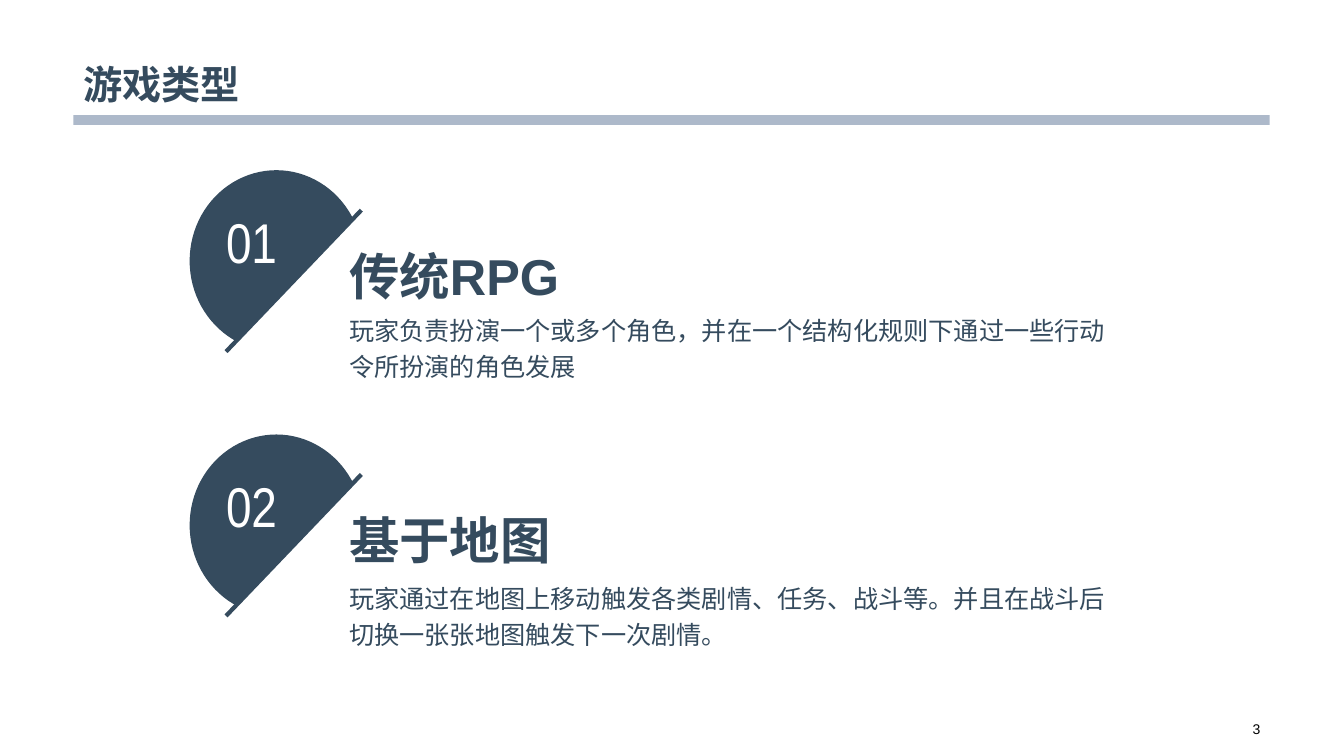
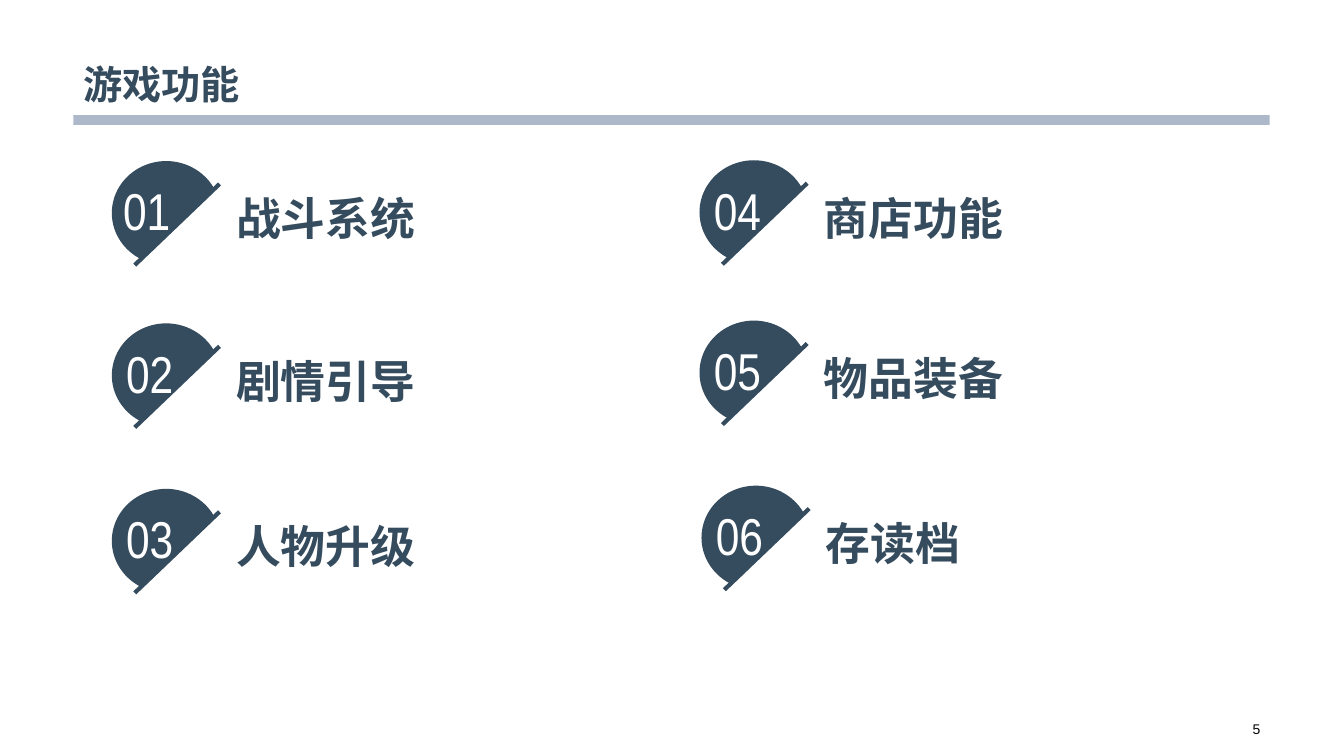
from dataclasses import dataclass

from pptx import Presentation
from pptx.dml.color import RGBColor
from pptx.enum.lang import MSO_LANGUAGE_ID
from pptx.enum.shapes import MSO_CONNECTOR, MSO_SHAPE
from pptx.enum.text import MSO_ANCHOR, PP_ALIGN
from pptx.oxml.ns import qn
from pptx.util import Cm, Pt
from lxml import etree

RECT, CHORD = MSO_SHAPE.RECTANGLE, MSO_SHAPE.CHORD
STRAIGHT = MSO_CONNECTOR.STRAIGHT
LEFT, CENTER, RIGHT = PP_ALIGN.LEFT, PP_ALIGN.CENTER, PP_ALIGN.RIGHT
MIDDLE, BOTTOM = MSO_ANCHOR.MIDDLE, MSO_ANCHOR.BOTTOM
CHINESE = MSO_LANGUAGE_ID.SIMPLIFIED_CHINESE

# Shared look
NAVY, BAND, WHITE, BLACK = "354B5E", "ADB9CA", "FFFFFF", "000000"
FONT, NUMBER_FONT = "Arial", "Arial Narrow"
MARGIN, CONTENT_W = 1.85, 30.15
INDENT = (1, 0, 0, 0)
CHORD_ANGLES = (117, 332)
ANGLE_UNIT = 0.6  # adjustment value of one degree


@dataclass
class BadgeStyle:
    """Sizes in cm; boxes are offset from the badge's top left corner."""
    size: tuple
    number_box: tuple
    number_pt: int
    heading_box: tuple
    heading_pt: int


LARGE = BadgeStyle((4.37, 4.57), (0.33, 0.38, 2.46, 2.82), 40,
                   (3.02, 2.44, 14.96, 0.97), 36)
SMALL = BadgeStyle((2.74, 2.62), (0.18, 0.41, 1.55, 1.65), 37,
                   (2.13, 0.79, 9.37, 1.32), 32)

# Badge x and y, number, heading, body offset, body
GAME_TYPES = [
    (4.78, 4.29, "01", "传统RPG", 3.45,
     "玩家负责扮演一个或多个角色，并在一个结构化规则下通过一些行动令所扮演的角色发展"),
    (4.78, 10.95, "02", "基于地图", 3.55,
     "玩家通过在地图上移动触发各类剧情、任务、战斗等。并且在战斗后切换一张张地图触发下一次剧情。"),
]

# Badge x and y, number, heading, number shift
FEATURES = [
    (2.82, 4.06, "01", "战斗系统", -0.08),
    (2.82, 8.15, "02", "剧情引导", 0),
    (2.82, 12.32, "03", "人物升级", 0),
    (17.63, 4.04, "04", "商店功能", 0),
    (17.63, 8.08, "05", "物品装备", 0),
    (17.68, 12.24, "06", "存读档", 0),
]


def color(hex_code):
    return RGBColor.from_string(hex_code)


def add_text(s, box, text, size, fill=NAVY, font=FONT, bold=False, align=LEFT,
             anchor=MIDDLE, insets=(0, 0, 0, 0), spacing=None):
    sp = s.shapes.add_textbox(*map(Cm, box))
    tf = sp.text_frame
    tf.word_wrap = True
    tf.vertical_anchor = anchor
    (tf.margin_left, tf.margin_top,
     tf.margin_right, tf.margin_bottom) = map(Cm, insets)
    p = tf.paragraphs[0]
    p.alignment = align
    p.line_spacing = spacing
    r = p.add_run()
    r.text = text
    r.font.name, r.font.size, r.font.bold = font, Pt(size), bold
    r.font.color.rgb = color(fill)
    r.font.language_id = CHINESE


def add_filled(s, kind, box, fill):
    sp = s.shapes.add_shape(kind, *map(Cm, box))
    sp.shadow.inherit = False
    sp.fill.solid()
    sp.fill.fore_color.rgb = color(fill)
    sp.line.fill.background()
    return sp


def add_line(s, x1, y1, x2, y2):
    line = s.shapes.add_connector(STRAIGHT, Cm(x1), Cm(y1), Cm(x2), Cm(y2))
    line.line.color.rgb = color(NAVY)
    line.line.width = Pt(3)
    etree.SubElement(line._element.spPr, qn("a:effectLst"))


def add_badge(s, style, x, y, number, heading, shift=0):
    """Cut disc with a slanted edge line, its number and a heading."""
    w, h = style.size
    disc = add_filled(s, CHORD, (x, y, w, h), NAVY)
    for i, angle in enumerate(CHORD_ANGLES):
        disc.adjustments[i] = angle * ANGLE_UNIT
    add_line(s, x + 0.99 * w, y + 0.22 * h, x + 0.21 * w, y + h)
    dx, dy, bw, bh = style.number_box
    add_text(s, (x + dx + shift, y + dy, bw, bh), number, style.number_pt,
             WHITE, NUMBER_FONT, align=CENTER)
    dx, dy, bw, bh = style.heading_box
    add_text(s, (x + dx, y + dy, bw, bh), heading, style.heading_pt,
             bold=True, anchor=BOTTOM, insets=INDENT)


def add_slide(prs, title, page):
    """Blank slide with the shared band, title and page number."""
    s = prs.slides.add_slide(prs.slide_layouts[6])
    add_filled(s, RECT, (MARGIN, 2.9, CONTENT_W, 0.25), BAND)
    add_text(s, (MARGIN, 0, CONTENT_W, 2.84), title, 28, bold=True,
             anchor=BOTTOM, insets=(0.25, 0.13, 0.25, 0.13), spacing=0.9)
    add_text(s, (23.93, 18.08, 8.08, 0.58), page, 10, BLACK, align=RIGHT,
             insets=(0.25, 0.13, 0.25, 0.13))
    return s


def main():
    prs = Presentation()
    prs.slide_width, prs.slide_height = Cm(33.87), Cm(19.05)

    # Game types
    s = add_slide(prs, "游戏类型", "3")
    for x, y, number, heading, body_dy, body in GAME_TYPES:
        add_badge(s, LARGE, x, y, number, heading)
        add_text(s, (x + LARGE.heading_box[0], y + body_dy, 20.5, 1.93), body,
                 18, insets=INDENT, spacing=1.2)

    # Game features
    s = add_slide(prs, "游戏功能", "5")
    for x, y, number, heading, shift in FEATURES:
        add_badge(s, SMALL, x, y, number, heading, shift)

    prs.save("out.pptx")


if __name__ == "__main__":
    main()
